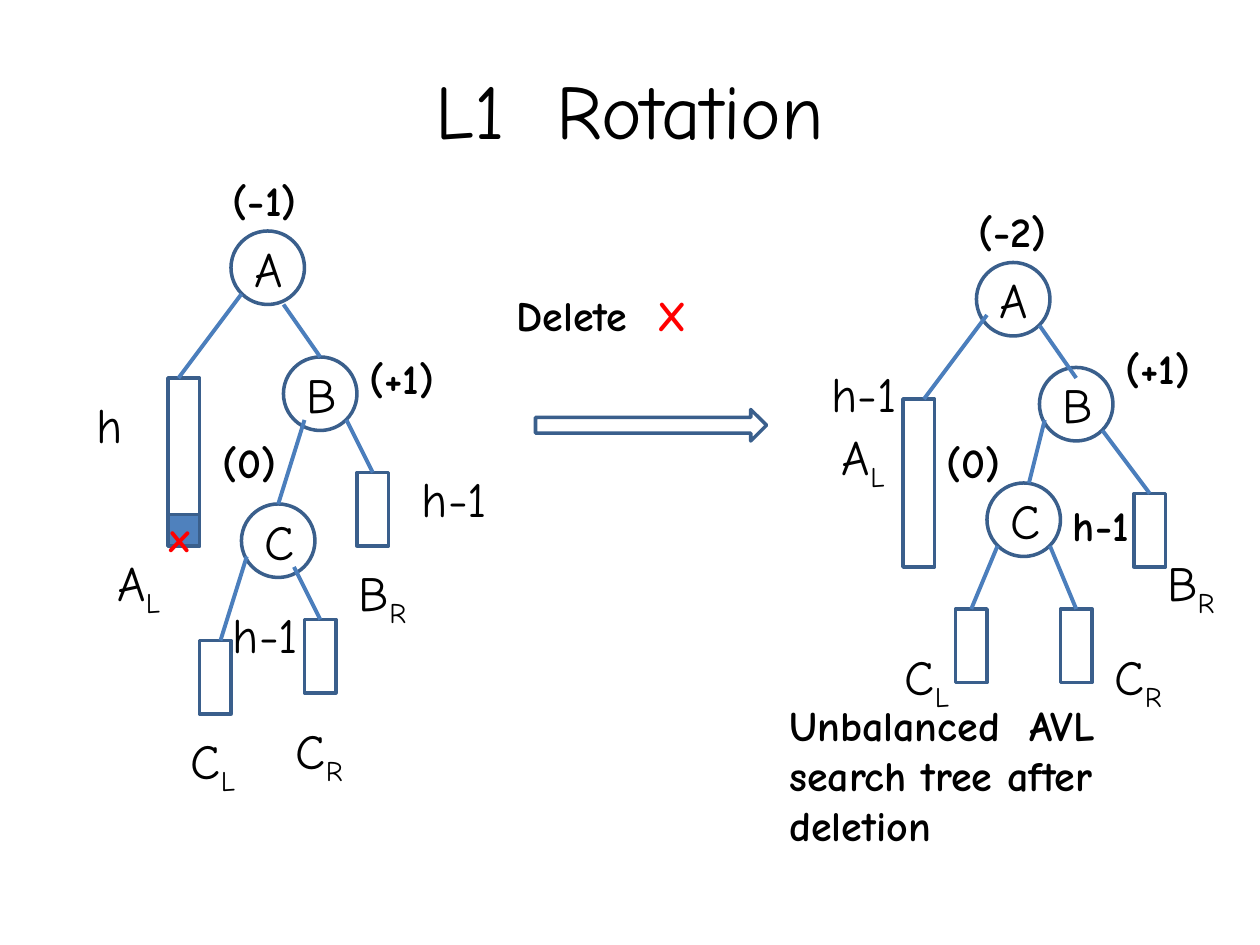
from pptx import Presentation
from pptx import util as u
from pptx.dml.color import RGBColor
from pptx.enum import shapes, text
from pptx.oxml.ns import qn
from lxml import etree

FONT = "Comic Neue"
BLACK, RED = "000000", "FF0000"
FILL, OUTLINE, LINK = "4F81BD", "3A5F8C", "4B7EBC"
NODE = 42               # diameter of a tree node
BAR_W, SHORT, TALL = 18, 42, 96   # subtree bars


def rgb(value):
    return RGBColor.from_string(value)


def write(p, words, size=28, color=BLACK, bold=False, align=None, baseline=None):
    """Append one formatted run to a paragraph."""
    if align is not None:
        p.alignment = align
    r = p.add_run()
    r.text = words
    r.font.name, r.font.size, r.font.bold = FONT, u.Pt(size), bold
    r.font.color.rgb = rgb(color)
    if baseline is not None:
        r._r.get_or_add_rPr().set("baseline", str(baseline))


class Diagram:
    def __init__(self, slide):
        self.slide = slide
        self.shapes = slide.shapes

    def begin_group(self):
        self.shapes = self.slide.shapes.add_group_shape().shapes

    def title(self, words, x, y, w, h):
        sp = self.slide.shapes.title
        sp.left, sp.top, sp.width, sp.height = map(u.Pt, (x, y, w, h))
        tf = sp.text_frame
        tf.vertical_anchor = text.MSO_ANCHOR.MIDDLE
        write(tf.paragraphs[0], words, size=44, align=text.PP_ALIGN.CENTER)

    def shape(self, kind, x, y, w, h, fill=None):
        sp = self.shapes.add_shape(kind, *map(u.Pt, (x, y, w, h)))
        sp.shadow.inherit = False
        if fill:
            sp.fill.solid()
            sp.fill.fore_color.rgb = rgb(fill)
        else:
            sp.fill.background()
        sp.line.color.rgb = rgb(OUTLINE)
        sp.line.width = u.Pt(2)
        return sp

    def node(self, letter, x, y):
        sp = self.shape(shapes.MSO_SHAPE.OVAL, x, y, NODE, NODE)
        tf = sp.text_frame
        tf.vertical_anchor = text.MSO_ANCHOR.MIDDLE
        write(tf.paragraphs[0], letter, align=text.PP_ALIGN.CENTER)

    def bar(self, x, y, h, fill=None):
        self.shape(shapes.MSO_SHAPE.RECTANGLE, x, y, BAR_W, h, fill)

    def link(self, x1, y1, x2, y2):
        cx = self.shapes.add_connector(
            shapes.MSO_CONNECTOR.STRAIGHT, *map(u.Pt, (x1, y1, x2, y2)))
        cx.line.color.rgb = rgb(LINK)
        cx.line.width = u.Pt(2.25)
        etree.SubElement(cx._element.spPr, qn("a:effectLst"))

    def textbox(self, x, y, w, h):
        tf = self.shapes.add_textbox(*map(u.Pt, (x, y, w, h))).text_frame
        tf.word_wrap = True
        tf.auto_size = text.MSO_AUTO_SIZE.SHAPE_TO_FIT_TEXT
        return tf.paragraphs[0]

    def label(self, words, x, y, w=60):
        """Plain label; an underscore starts a subscript."""
        p = self.textbox(x, y, w, 41)
        base, _, sub = words.partition("_")
        write(p, base)
        if sub:
            write(p, sub, baseline=-25000)

    def note(self, words, x, y, w, h=36, color=BLACK):
        p = self.textbox(x, y, w, h)
        write(p, words, size=24, bold=True, color=color)
        return p

    def tree(self, nodes, bars, links, labels, notes):
        for draw, items in ((self.node, nodes), (self.bar, bars),
                            (self.link, links), (self.label, labels),
                            (self.note, notes)):
            for item in items:
                draw(*item)


def main():
    prs = Presentation()
    prs.slide_width, prs.slide_height = u.Pt(720), u.Pt(540)
    d = Diagram(prs.slides.add_slide(prs.slide_layouts[5]))
    d.title("L1  Rotation", 36, 21.6, 648, 81)

    # Tree before deletion, with the doomed element at the foot of A_L
    d.bar(96, 294, 18, FILL)
    d.tree(
        nodes=[("A", 132, 132), ("B", 162, 204), ("C", 138, 288)],
        bars=[(96, 216, TALL), (204, 270, SHORT),
              (114, 366, SHORT), (174, 354, SHORT)],
        links=[(138, 168, 102, 216), (162, 174, 183, 204),
               (174, 240, 159, 288), (198, 240, 213, 270),
               (141, 318, 126, 366), (168, 324, 183, 354)],
        labels=[("h", 48, 222), ("A_L", 60, 312), ("B_R", 198, 318),
                ("C_L", 102, 414), ("C_R", 162, 408),
                ("h-1", 234, 264, 84), ("h-1", 126, 342)],
        notes=[("(-1)", 126, 96, 90), ("(+1)", 204, 198, 66),
               ("(0)", 120, 246, 48)])
    d.note("x", 90, 288, 36, color=RED)

    # Deletion step
    p = d.note("Delete  ", 288, 162, 156)
    write(p, "X", size=24, bold=True, color=RED)
    d.shape(shapes.MSO_SHAPE.RIGHT_ARROW, 306, 234, 132, 18)

    # Tree after deletion
    d.begin_group()
    d.tree(
        nodes=[("A", 558, 150), ("B", 594, 210), ("C", 564, 276)],
        bars=[(516, 228, TALL), (648, 282, SHORT),
              (546, 348, SHORT), (606, 348, SHORT)],
        links=[(564, 180, 528, 228), (594, 186, 615, 216),
               (597, 240, 588, 276), (630, 246, 657, 282),
               (570, 312, 555, 348), (600, 312, 615, 348)],
        labels=[("h-1", 468, 204), ("A_L", 474, 240), ("B_R", 660, 312),
                ("C_L", 510, 366), ("C_R", 630, 366)],
        notes=[("(-2)", 552, 114, 90), ("(+1)", 636, 192, 66),
               ("(0)", 534, 246, 66), ("h-1", 606, 282, 78),
               ("Unbalanced  AVL search tree after deletion",
                444, 396, 228, 94)])

    prs.save("out.pptx")


if __name__ == "__main__":
    main()
